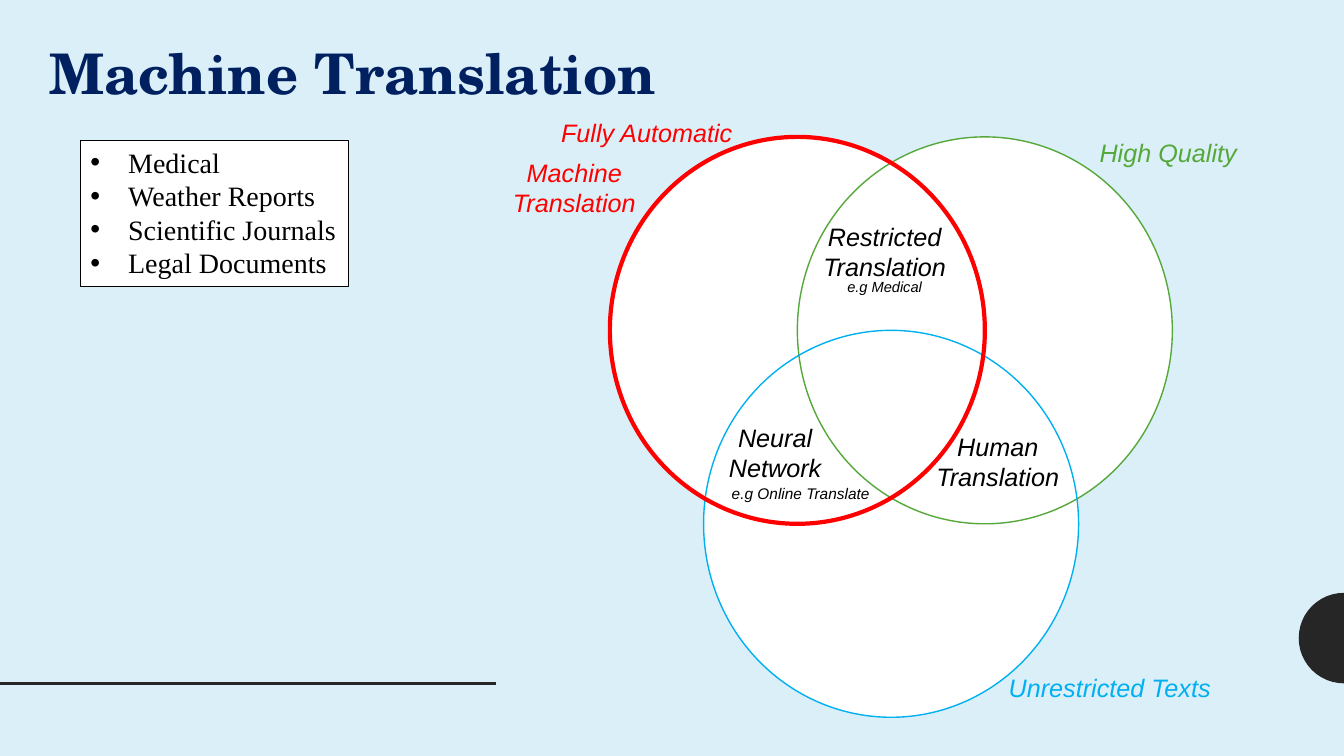
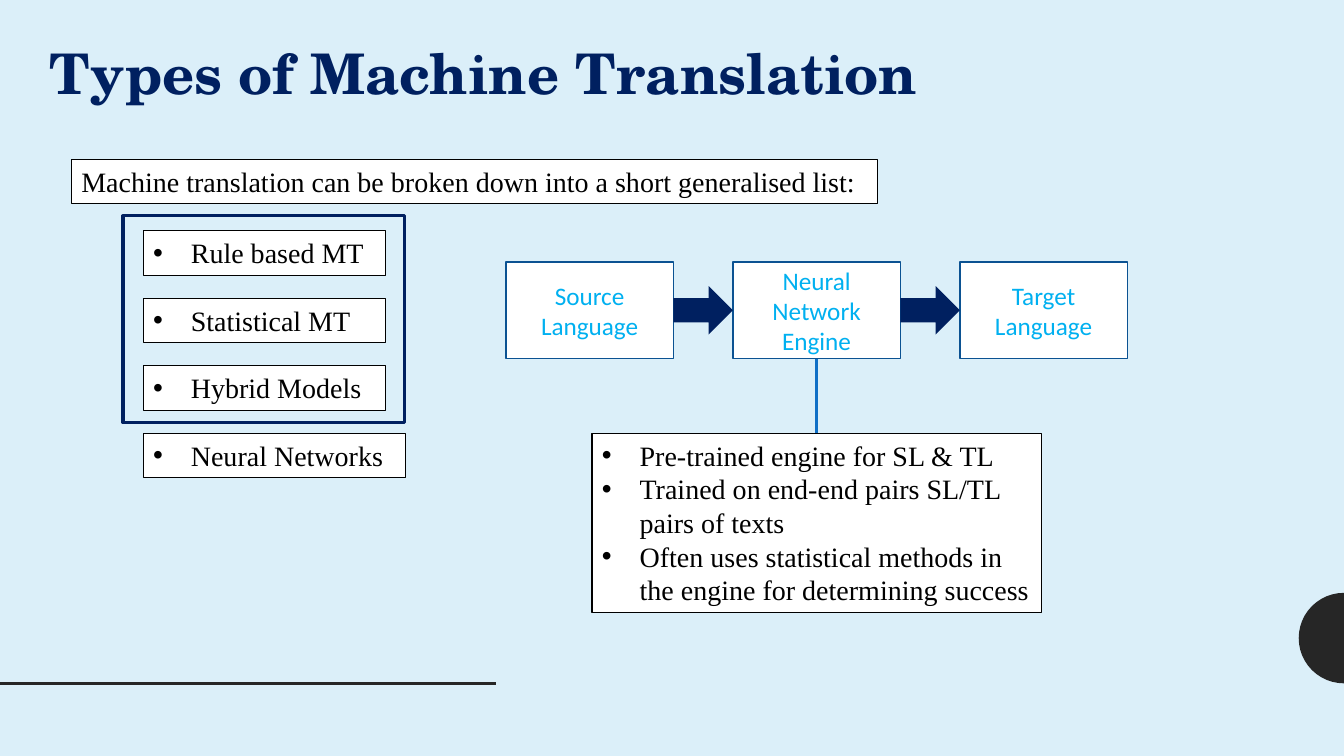
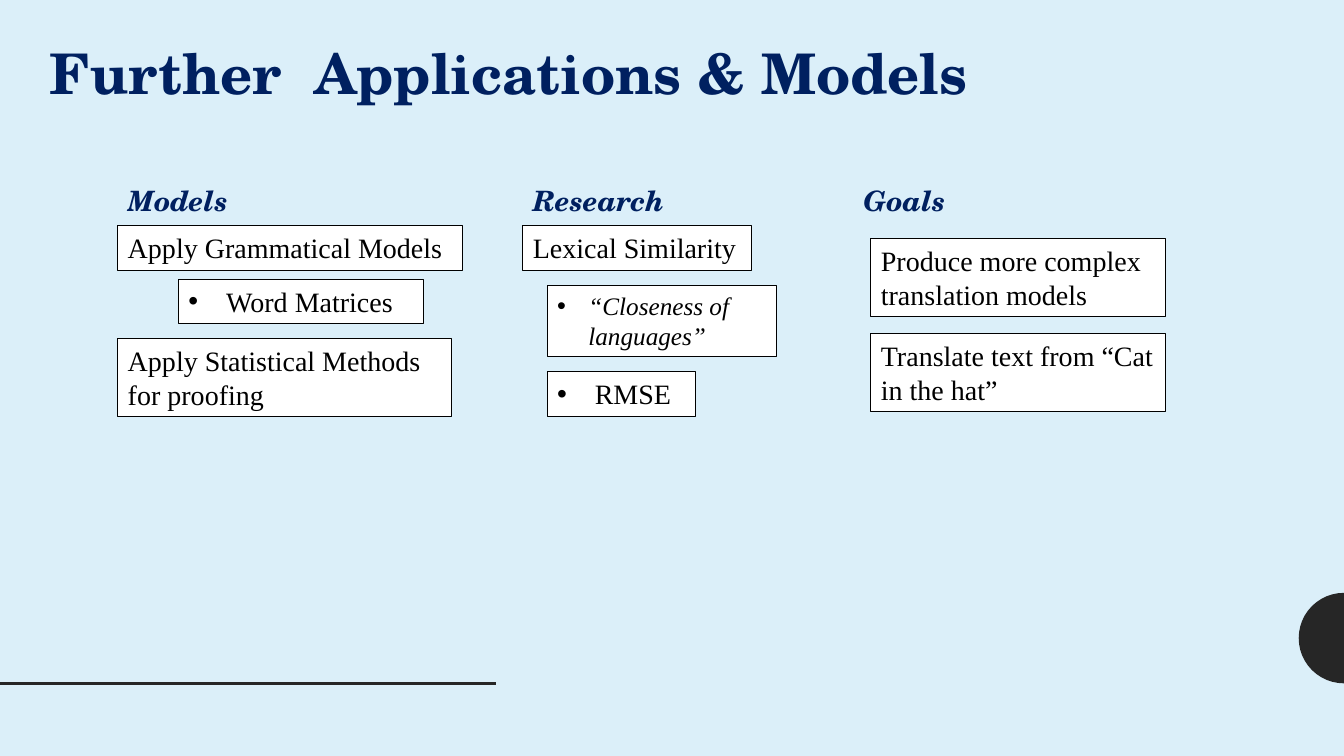
"""Build three slides on machine translation."""
import dataclasses
import math

import lxml.etree
import pptx
import pptx.dml.color
import pptx.enum.shapes
import pptx.enum.text
import pptx.oxml.ns
import pptx.util


@dataclasses.dataclass(frozen=True)
class Theme:
    back: str = "DBEFF9"
    dark: str = "262626"
    navy: str = "002060"
    white: str = "FFFFFF"
    black: str = "000000"
    red: str = "FF0000"
    green: str = "55A839"
    sky: str = "00B0F0"
    edge: str = "0B5292"
    link: str = "0F6FC6"
    head: str = "TeX Gyre Schola"
    body: str = "Times New Roman"
    label: str = "Arial"
    flow: str = "Calibri"
    big: float = 40
    mid: float = 20
    small: float = 18
    note: float = 11
    tiny: float = 10.5


T = Theme()
KIND = pptx.enum.shapes.MSO_SHAPE
ALIGN = pptx.enum.text.PP_ALIGN
WIDE, HIGH = 33.87, 19.05
ROW, PAIR = 1.12, 1.96
INDENT = 0.95

TITLES = [
    ("Machine Translation", 15.95),
    ("Types of Machine Translation", 22.56),
    ("Further  Applications & Models", 23.85),
]

FIELDS = ["Medical", "Weather Reports", "Scientific Journals", "Legal Documents"]
RINGS = [(1, 0, T.green, 1), (0.5, 1, T.sky, 1), (0, 0, T.red, 3)]
OUTER = [
    ("Fully Automatic", (13.89, 2.82, 5.05, 1.02), T.red),
    ("High Quality", (27.46, 3.33, 4.01, 1.02), T.green),
    ("Unrestricted Texts", (25.17, 16.81, 5.66, 1.02), T.sky),
]
INNER = [
    ("Human Translation", (23.09, 10.74, 4.11, 1.8), T.black, T.small),
    ("Restricted Translation", (20.24, 5.44, 4.11, 1.8), T.black, T.small),
    ("Neural Network", (17.48, 10.52, 4.11, 1.8), T.black, T.small),
    ("Machine Translation", (12.19, 3.84, 4.57, 1.8), T.red, T.small),
    ("e.g Medical", (20.24, 6.88, 4.11, 0.74), T.black, T.tiny),
    ("e.g Online Translate", (17.73, 12.07, 4.9, 0.74), T.black, T.note),
]

INTRO = "Machine translation can be broken down into a short generalised list:"
TYPES = [("Rule based MT", 6.1), ("Statistical MT", 6.1),
         ("Hybrid Models", 6.1), ("Neural Networks", 6.6)]
STAGES = ["Source Language", "Neural Network Engine", "Target Language"]
NOTES = [
    "Pre-trained engine for SL & TL",
    "Trained on end-end pairs SL/TL pairs of texts",
    "Often uses statistical methods in the engine for determining success",
]

HEADS = [("Models", 2.97), ("Research", 13.18), ("Goals", 21.51)]
CARDS = [
    ("Apply Grammatical Models", (2.97, 5.69, 8.69, ROW), {}),
    ("Word Matrices", (4.5, 7.04, 6.17, ROW), {"indent": INDENT}),
    ("Apply Statistical Methods for proofing", (2.97, 8.53, 8.41, PAIR), {}),
    ("Lexical Similarity", (13.18, 5.69, 5.77, ROW), {}),
    ("“Closeness of languages”", (13.79, 7.19, 5.77, 1.8),
     {"indent": 0.79, "size": T.small, "italic": True}),
    ("RMSE", (13.79, 9.37, 3.73, ROW), {"indent": INDENT}),
    ("Produce more complex translation models", (21.95, 6.02, 7.42, PAIR), {}),
    ("Translate text from “Cat in the hat”", (21.95, 8.41, 7.42, PAIR), {}),
]


def cm(*sizes):
    return [pptx.util.Cm(size) for size in sizes]


def tint(text):
    return pptx.dml.color.RGBColor.from_string(text)


def paint(shape, fill=None, line=None, width=1):
    shape.shadow.inherit = False
    if fill:
        shape.fill.solid()
        shape.fill.fore_color.rgb = tint(fill)
    else:
        shape.fill.background()
    if line:
        shape.line.color.rgb = tint(line)
        shape.line.width = pptx.util.Pt(width)
    else:
        shape.line.fill.background()
    return shape


def draw(slide, kind, at, **look):
    return paint(slide.shapes.add_shape(kind, *cm(*at)), **look)


def rule(slide, ends, color, width):
    line = slide.shapes.add_connector(
        pptx.enum.shapes.MSO_CONNECTOR.STRAIGHT, *cm(*ends))
    line.line.color.rgb = tint(color)
    line.line.width = pptx.util.Pt(width)
    lxml.etree.SubElement(line._element.spPr, pptx.oxml.ns.qn("a:effectLst"))
    return line


def bullet(para, indent):
    props = para._p.get_or_add_pPr()
    props.set("marL", str(pptx.util.Cm(indent)))
    props.set("indent", str(-pptx.util.Cm(indent)))
    font = lxml.etree.SubElement(props, pptx.oxml.ns.qn("a:buFont"))
    font.set("typeface", T.label)
    mark = lxml.etree.SubElement(props, pptx.oxml.ns.qn("a:buChar"))
    mark.set("char", "•")


def write(slide, text, at, *, face=T.body, size=T.mid, color=T.black, bold=False,
          italic=False, align=ALIGN.LEFT, middle=False, wrap=True, indent=0,
          fill=None, line=None, width=0.75):
    if fill:
        box = draw(slide, KIND.RECTANGLE, at, fill=fill, line=line, width=width)
    else:
        box = slide.shapes.add_textbox(*cm(*at))
    frame = box.text_frame
    frame.word_wrap = wrap
    if not wrap:
        frame.auto_size = pptx.enum.text.MSO_AUTO_SIZE.SHAPE_TO_FIT_TEXT
    anchor = pptx.enum.text.MSO_ANCHOR
    frame.vertical_anchor = anchor.MIDDLE if middle else anchor.TOP
    lines = [text] if isinstance(text, str) else text
    for i, words in enumerate(lines):
        para = frame.add_paragraph() if i else frame.paragraphs[0]
        para.alignment = align
        if indent:
            bullet(para, indent)
        run = para.add_run()
        run.text = words
        font = run.font
        font.name, font.size = face, pptx.util.Pt(size)
        font.bold, font.italic = bold, italic
        font.color.rgb = tint(color)
    return box


def card(slide, text, at, **look):
    return write(slide, text, at, fill=T.white, line=T.black, **look)


def start(deck, title, width):
    slide = deck.slides.add_slide(deck.slide_layouts[6])
    mid, reach, steps = 16.08, 1.14, 24
    arc = [cm(WIDE - reach * math.sin(math.pi * i / steps),
              mid - reach * math.cos(math.pi * i / steps))
           for i in range(steps + 1)]
    path = slide.shapes.build_freeform(*arc[0], scale=1.0)
    path.add_line_segments(arc[1:], close=True)
    paint(path.convert_to_shape(), fill=T.dark)
    rule(slide, (0, 17.22, 12.5, 17.22), T.dark, 2)
    write(slide, title, (1, 0.84, width, PAIR), face=T.head, size=T.big,
          color=T.navy, bold=True, wrap=False)
    return slide


def venn(slide):
    wide, high, left, top = 9.45, 9.75, 15.37, 3.45
    spots = [(left + x * wide / 2, top + y * high / 2, wide, high)
             for x, y, *_ in RINGS]
    for at in spots:
        draw(slide, KIND.OVAL, at, fill=T.white)
    for at, (_, _, color, width) in zip(spots, RINGS):
        draw(slide, KIND.OVAL, at, line=color, width=width)
    for text, at, color in OUTER:
        write(slide, text, at, face=T.label, size=T.small, color=color,
              italic=True, wrap=False)
    for text, at, color, size in INNER:
        write(slide, text, at, face=T.label, size=size, color=color,
              italic=True, align=ALIGN.CENTER)
    card(slide, FIELDS, (2.03, 3.53, 6.75, 3.68), indent=INDENT)


def types(slide):
    card(slide, INTRO, (1.8, 4.01, 20.32, ROW))
    for i, (text, width) in enumerate(TYPES):
        card(slide, text, (3.61, 5.82 + 1.7 * i, width, ROW), indent=INDENT)
    draw(slide, KIND.RECTANGLE, (3.1, 5.44, 7.09, 5.21), line=T.navy, width=2.25)

    left, top, wide, high, gap, tall = 12.75, 6.6, 4.22, 2.44, 1.5, 1.22
    boxes = []
    for i, text in enumerate(STAGES):
        x = left + i * (wide + gap)
        boxes.append(write(slide, text, (x, top, wide, high), face=T.flow,
                           size=T.small, color=T.sky, align=ALIGN.CENTER,
                           middle=True, fill=T.white, line=T.edge, width=1))
        if i:
            draw(slide, KIND.RIGHT_ARROW,
                 (x - gap, top + (high - tall) / 2, gap, tall), fill=T.navy)
    notes = card(slide, NOTES, (14.92, 10.92, 11.32, 4.52), indent=INDENT)
    link = rule(slide, (20.58, top + high, 20.58, 10.92), T.link, 2.25)
    link.begin_connect(boxes[1], 2)
    link.end_connect(notes, 0)


def goals(slide):
    for text, x in HEADS:
        write(slide, text, (x, 4.5, 4, ROW), face=T.head, color=T.navy,
              bold=True, italic=True)
    for text, at, look in CARDS:
        card(slide, text, at, **look)


def main():
    deck = pptx.Presentation()
    deck.slide_width, deck.slide_height = cm(WIDE, HIGH)
    back = deck.slide_master.background.fill
    back.solid()
    back.fore_color.rgb = tint(T.back)
    for (title, width), build in zip(TITLES, (venn, types, goals)):
        build(start(deck, title, width))
    deck.save("out.pptx")


if __name__ == "__main__":
    main()
